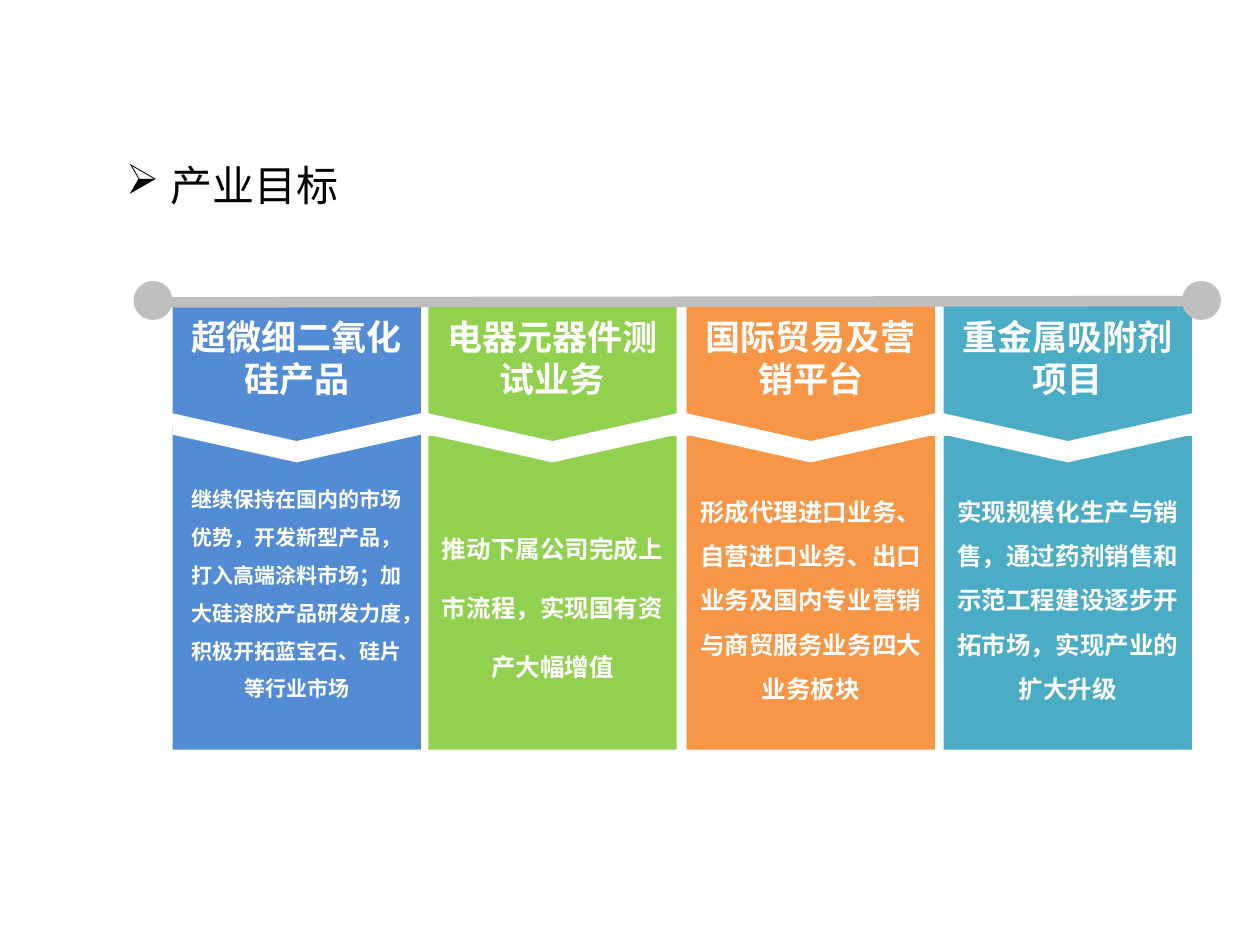
"""Build the slide of industry goals as four hanging banners."""
import pptx
import pptx.util
import pptx.dml.color
import pptx.enum.shapes
import pptx.enum.text
import pptx.oxml.ns
from lxml import etree

FONT = "Noto Sans CJK SC"
TITLE = "产业目标"
GREY, WHITE = "BFBFBF", "FFFFFF"
BANNERS = [
    dict(left=1.37, top=3.38, fill="538CD5", head="超微细二氧化硅产品", size=12, gap=1.5,
         body="继续保持在国内的市场优势，开发新型产品，打入高端涂料市场；"
              "加大硅溶胶产品研发力度，积极开拓蓝宝石、硅片等行业市场"),
    dict(left=3.4, top=3.46, fill="92D050", head="电器元器件测试业务", size=14, gap=2.0,
         body="推动下属公司完成上市流程，实现国有资产大幅增值"),
    dict(left=5.45, top=3.46, fill="F79646", head="国际贸易及营销平台", size=14, gap=1.5,
         body="形成代理进口业务、自营进口业务、出口业务及国内专业营销与商贸服务业务四大业务板块"),
    dict(left=7.49, top=3.46, fill="4BACC6", head="重金属吸附剂项目", size=14, gap=1.5,
         body="实现规模化生产与销售，通过药剂销售和示范工程建设逐步开拓市场，实现产业的扩大升级"),
]
WIDTH, BOTTOM = 1.97, 5.95
HEAD_TOP, NOTCH_TOP, HEAD_H = 2.4, 2.57, 1.1
KNOBS, KNOB_TOP, KNOB = (1.06, 9.38), 2.23, 0.31
ROD = (1.27, 2.4, 9.46, 2.39)

Inches = pptx.util.Inches
KIND = pptx.enum.shapes.MSO_SHAPE
ALIGN = pptx.enum.text.PP_ALIGN
qn = pptx.oxml.ns.qn


def color(code):
    return pptx.dml.color.RGBColor.from_string(code)


def write(shape, text, size, code, bold=False, align=ALIGN.CENTER, gap=1.0):
    frame = shape.text_frame
    look = dict(word_wrap=True, auto_size=pptx.enum.text.MSO_AUTO_SIZE.NONE,
                vertical_anchor=pptx.enum.text.MSO_ANCHOR.MIDDLE)
    for name, value in look.items():
        setattr(frame, name, value)
    para = frame.paragraphs[0]
    para.alignment, para.line_spacing = align, gap
    run = para.add_run()
    run.text = text
    run.font.color.rgb = color(code)
    for name, value in dict(size=pptx.util.Pt(size), bold=bold, name=FONT).items():
        setattr(run.font, name, value)
    etree.SubElement(run.font._element, qn("a:ea"), typeface=FONT)
    return para


def block(shapes, kind, box, fill):
    shape = shapes.add_shape(kind, *map(Inches, box))
    shape.shadow.inherit = False
    shape.fill.solid()
    shape.fill.fore_color.rgb = color(fill)
    shape.line.fill.background()
    return shape


def title(shape):
    box = dict(left=0.9, top=0.84, width=8.5, height=1.25)
    for name, value in box.items():
        setattr(shape, name, Inches(value))
    para = write(shape, TITLE, 24, "000000", align=ALIGN.LEFT)
    props = para._p.get_or_add_pPr()
    props.set("marL", str(Inches(0.35)))
    props.set("indent", str(-Inches(0.35)))
    etree.SubElement(props, qn("a:buChar"), char="➢")


def banner(shapes, left, top, fill, head, body, size, gap):
    page = block(shapes, KIND.RECTANGLE, (left, top, WIDTH, BOTTOM - top), fill)
    write(page, body, size, WHITE, bold=True, gap=gap)
    tab = KIND.FLOWCHART_OFFPAGE_CONNECTOR
    block(shapes, tab, (left, NOTCH_TOP, WIDTH, HEAD_H), WHITE)
    flag = block(shapes, tab, (left, HEAD_TOP, WIDTH, HEAD_H), fill)
    write(flag, head, 20, WHITE, bold=True)


def rod(shapes):
    line = shapes.add_connector(pptx.enum.shapes.MSO_CONNECTOR.STRAIGHT, *map(Inches, ROD))
    line.line.color.rgb = color(GREY)
    line.line.width = pptx.util.Pt(6)
    etree.SubElement(line._element.spPr, qn("a:effectLst"))
    for left in KNOBS:
        block(shapes, KIND.OVAL, (left, KNOB_TOP, KNOB, KNOB), GREY)


def main():
    deck = pptx.Presentation()
    deck.slide_width, deck.slide_height = Inches(10), Inches(7.5)
    shapes = deck.slides.add_slide(deck.slide_layouts[5]).shapes
    title(shapes.title)
    for item in BANNERS:
        banner(shapes, **item)
    rod(shapes)
    deck.save("out.pptx")


if __name__ == "__main__":
    main()
